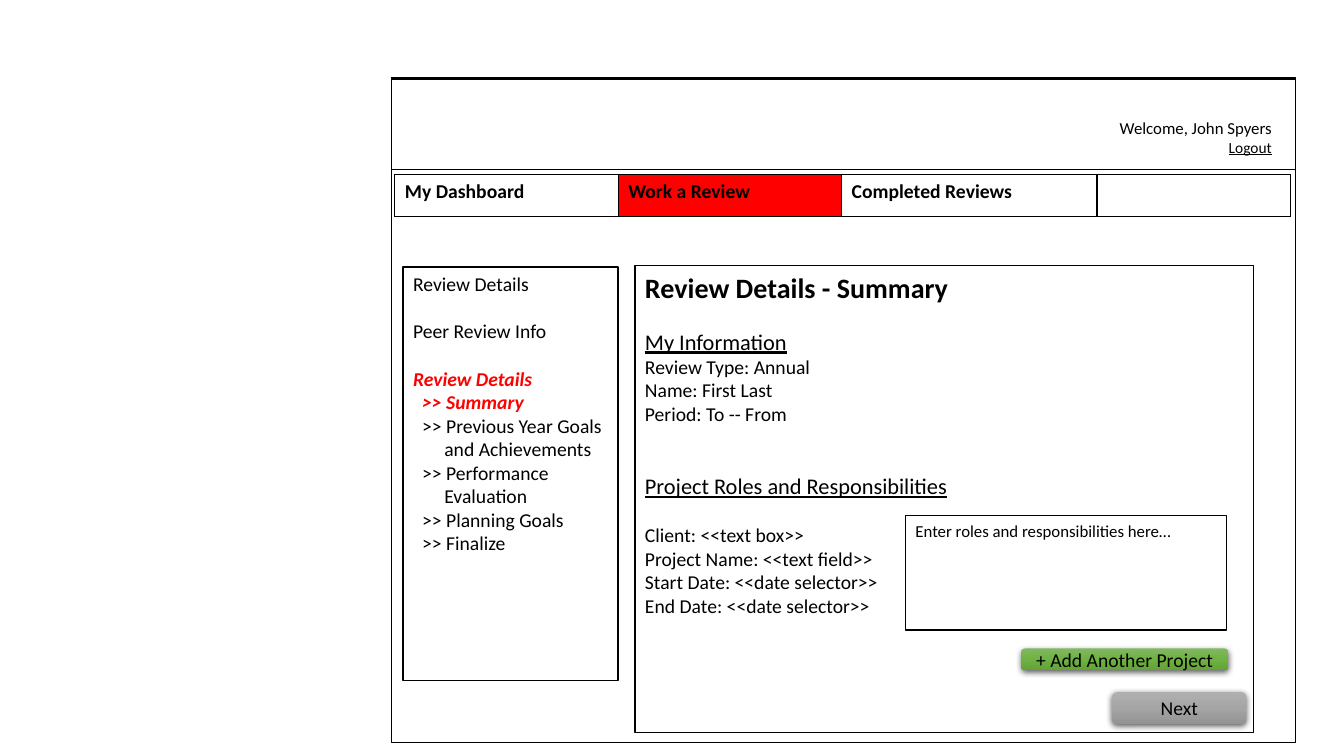
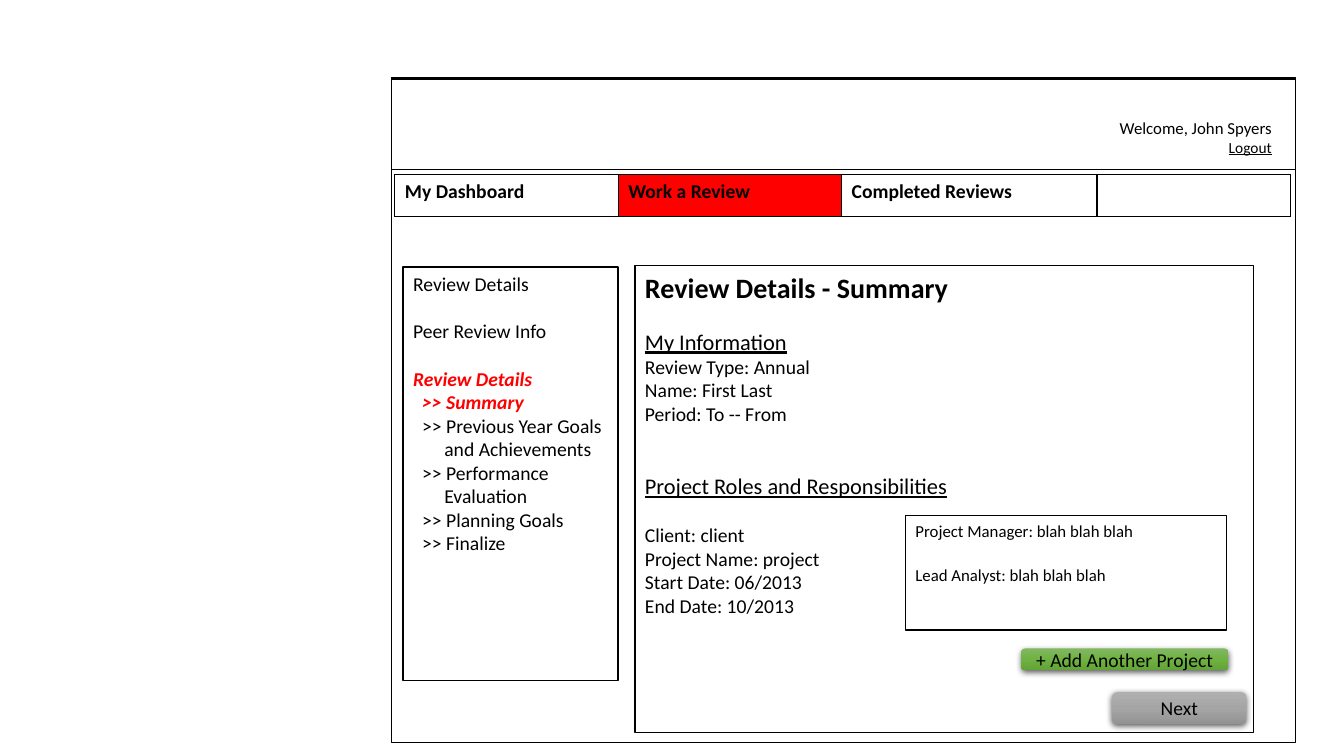
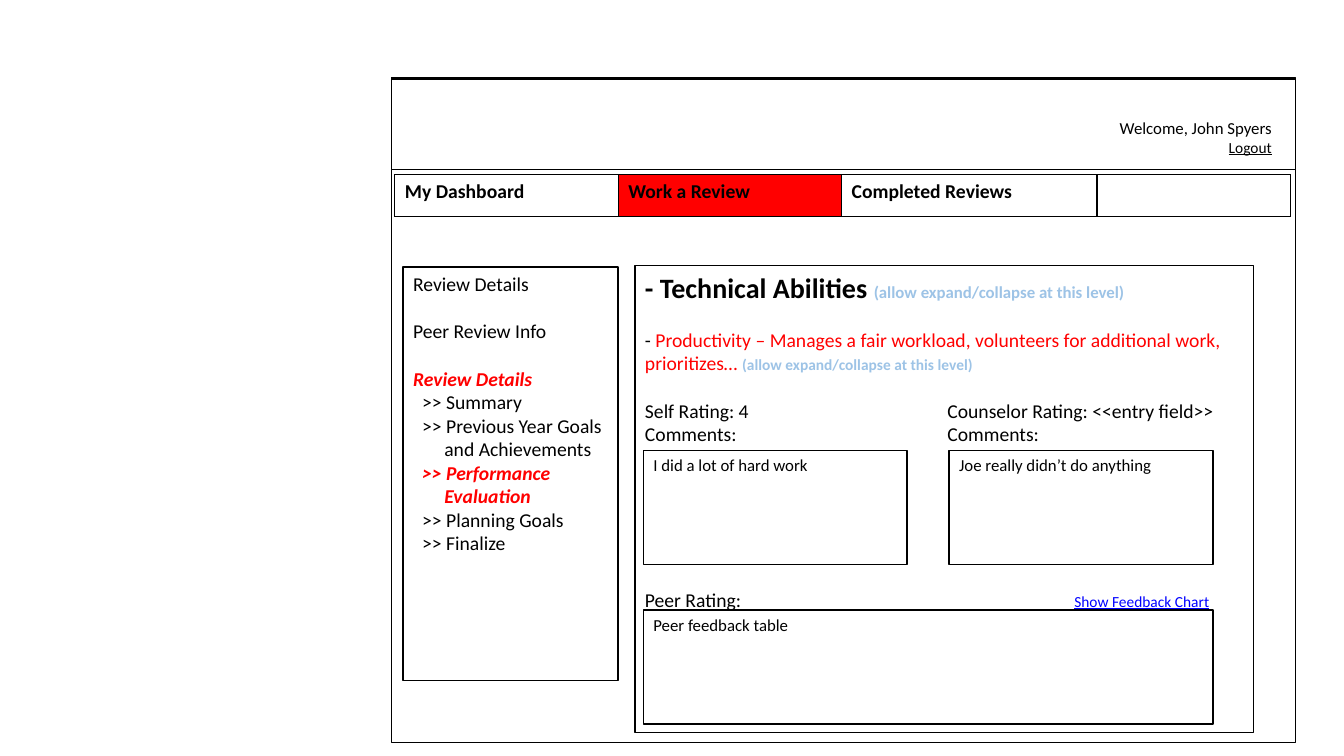
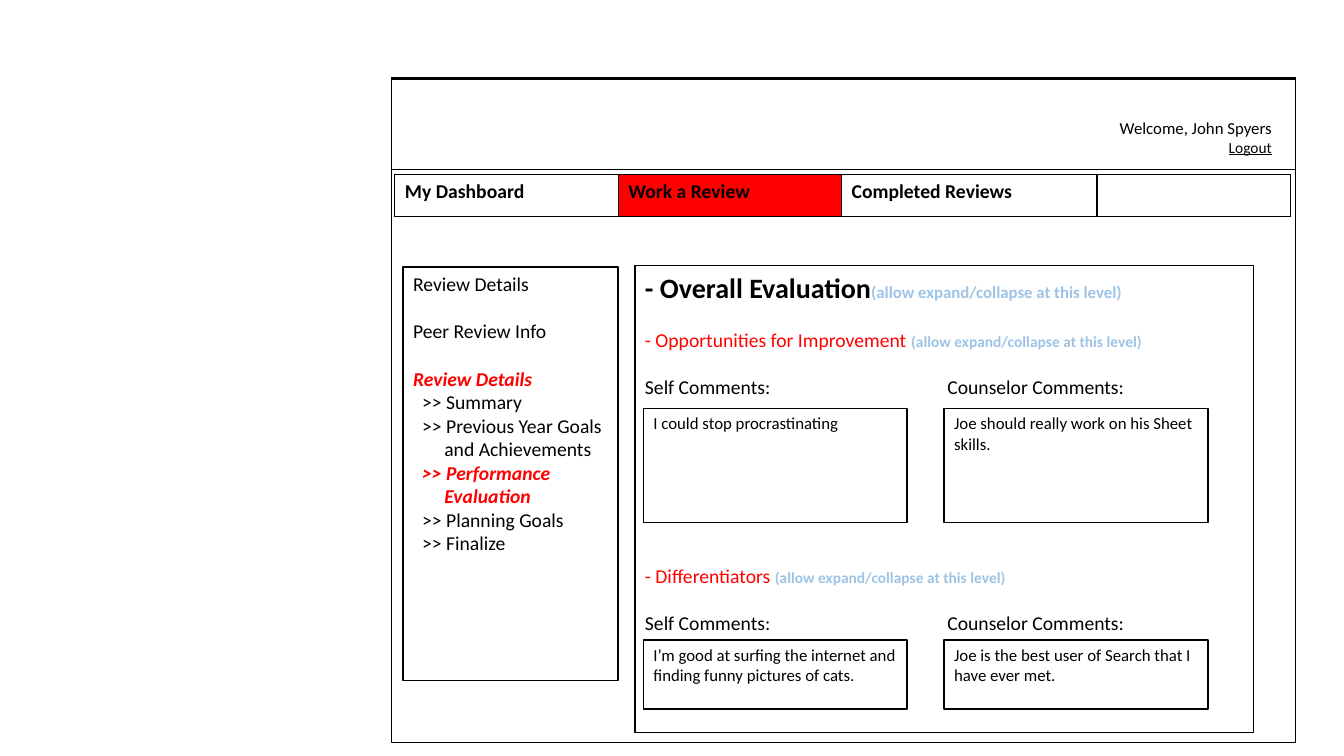
from copy import deepcopy
from dataclasses import dataclass

from lxml import etree
from pptx import Presentation
from pptx.dml.color import RGBColor
from pptx.enum.shapes import MSO_SHAPE
from pptx.enum.text import MSO_ANCHOR, PP_ALIGN
from pptx.oxml.ns import qn
from pptx.util import Inches, Pt

RECTANGLE, ROUNDED = MSO_SHAPE.RECTANGLE, MSO_SHAPE.ROUNDED_RECTANGLE
TOP, MIDDLE = MSO_ANCHOR.TOP, MSO_ANCHOR.MIDDLE
LEFT, CENTER, RIGHT = PP_ALIGN.LEFT, PP_ALIGN.CENTER, PP_ALIGN.RIGHT

BLACK = RGBColor(0x00, 0x00, 0x00)
WHITE = RGBColor(0xFF, 0xFF, 0xFF)
RED = RGBColor(0xFF, 0x00, 0x00)
PALE_BLUE = RGBColor(0x9D, 0xC3, 0xE6)
LINK_BLUE = RGBColor(0x00, 0x00, 0xFF)
GRAYS = [RGBColor(0xAF, 0xAF, 0xAF), RGBColor(0xA5, 0xA5, 0xA5), RGBColor(0x93, 0x93, 0x93)]
GREENS = [RGBColor(0x81, 0xB8, 0x61), RGBColor(0x6F, 0xB2, 0x42), RGBColor(0x62, 0xA3, 0x36)]

FONT = "Calibri"
WIDTH, HEIGHT = Inches(13.33), Inches(7.5)
COLUMN, ROW = WIDTH / 80, HEIGHT / 45  # grid of 80 columns by 45 rows
BLANK_LINE = 16.9  # points, one line of 14 point text

# Places on the grid: left, top, width, height
FRAME = (23.3, 4.6, 53.8, 39.6)
HEADER = (23.3, 4.7, 53.8, 5.4)
USER = (65.8, 6.7, 10.5, 3)
TABS = (23.5, 10.4, 53.3, 2.5)
MENU = (24, 15.9, 12.8, 24.6)
PANEL = (37.8, 15.8, 36.8, 27.8)
ROLES = (53.9, 30.7, 19.1, 6.8)
ADD_BUTTON = (60.8, 38.6, 12.3, 1.3)
NEXT_BUTTON = (66.2, 41.2, 8, 1.9)
SELF_LEFT, COMMENT_WIDTH, COMMENT_HEIGHT = 38.3, 15.7, 6.8
COUNSELOR_TAB, LINK_TAB = 18, 33.6  # columns from the panel's text edge


@dataclass
class Run:
    text: str
    size: int = 14
    color: RGBColor = BLACK
    bold: bool = False
    italic: bool = False
    underline: bool = False


@dataclass
class Line:
    runs: list
    blank: int = 0  # blank lines above
    align: PP_ALIGN = LEFT
    hang: bool = False
    tab: tuple = ()  # column and alignment of the tab stop


def line(text, blank=0, align=LEFT, hang=False, tab=(), **style):
    return Line([Run(text, **style)], blank, align, hang, tab)


class Wireframe:
    """Holds the style and the current slide."""

    def __init__(self):
        self.presentation = Presentation()
        self.presentation.slide_width, self.presentation.slide_height = WIDTH, HEIGHT
        self.slide = None

    def place(self, area):
        left, top, width, height = area
        return int(left * COLUMN), int(top * ROW), int(width * COLUMN), int(height * ROW)

    def style_font(self, font, run):
        font.name, font.size = FONT, Pt(run.size)
        font.bold, font.italic, font.underline = run.bold, run.italic, run.underline
        font.color.rgb = run.color

    def set_text(self, frame, lines, anchor=TOP):
        frame.word_wrap = True
        frame.vertical_anchor = anchor
        for index, item in enumerate(lines):
            paragraph = frame.add_paragraph() if index else frame.paragraphs[0]
            paragraph.alignment = item.align
            paragraph.space_before = Pt(item.blank * BLANK_LINE)
            properties = paragraph._p.get_or_add_pPr()
            if item.hang:
                properties.set("marL", str(Inches(0.31)))
                properties.set("indent", str(Inches(-0.22)))
            if item.tab:
                column, side = item.tab
                stops = etree.SubElement(properties, qn("a:tabLst"))
                etree.SubElement(stops, qn("a:tab"), pos=str(int(column * COLUMN)), algn=side)
            for part in item.runs:
                run = paragraph.add_run()
                run.text = part.text
                if len(item.runs) > 1:
                    self.style_font(run.font, part)
            if len(item.runs) == 1:
                self.style_font(paragraph.font, item.runs[0])

    def box(self, area, lines=(), fill=WHITE):
        shape = self.slide.shapes.add_shape(RECTANGLE, *self.place(area))
        shape.shadow.inherit = False
        if fill is None:
            shape.fill.background()
        else:
            shape.fill.solid()
            shape.fill.fore_color.rgb = fill
        shape.line.color.rgb, shape.line.width = BLACK, Pt(1)
        self.set_text(shape.text_frame, lines)

    def note(self, area, *texts):
        self.box(area, [line(text, blank=min(index, 1), size=12) for index, text in enumerate(texts)])

    def button(self, area, text, colors):
        shape = self.slide.shapes.add_shape(ROUNDED, *self.place(area))
        shape.line.fill.background()
        shape.fill.gradient()
        shape.fill.gradient_angle = 270
        properties = shape._element.spPr
        stops = properties.find(".//" + qn("a:gsLst"))
        stops.append(deepcopy(stops[-1]))
        for index, (stop, color) in enumerate(zip(shape.fill.gradient_stops, colors)):
            stop.color.rgb, stop.position = color, index / 2
        # Soft shadow below the button
        shape.shadow.inherit = False
        shadow = etree.SubElement(properties.find(qn("a:effectLst")), qn("a:outerShdw"),
                                  blurRad=str(Pt(4.5)), dist=str(Pt(1.5)), dir="5400000")
        black = etree.SubElement(shadow, qn("a:srgbClr"), val=str(BLACK))
        etree.SubElement(black, qn("a:alpha"), val="63000")
        self.set_text(shape.text_frame, [line(text, align=CENTER)], MIDDLE)

    def user(self):
        text_box = self.slide.shapes.add_textbox(*self.place(USER))
        text_box.text_frame.margin_left = 0
        self.set_text(text_box.text_frame, [
            line("Welcome, John Spyers", align=RIGHT, size=12),
            line("Logout", align=RIGHT, size=11, underline=True)])

    def tabs(self):
        table = self.slide.shapes.add_table(1, 4, *self.place(TABS)).table
        table.first_row = table.horz_banding = False
        labels = ["My Dashboard", "Work a Review", "Completed Reviews", ""]
        for index, (label, columns) in enumerate(zip(labels, [13.3, 13.3, 15.2, 11.5])):
            table.columns[index].width = int(columns * COLUMN)
            cell = table.cell(0, index)
            cell.fill.solid()
            cell.fill.fore_color.rgb = RED if label == "Work a Review" else WHITE
            self.set_text(cell.text_frame, [line(label, bold=True)] if label else [])
            properties = cell._tc.get_or_add_tcPr()
            for position, side in enumerate(["a:lnL", "a:lnR", "a:lnT", "a:lnB"]):
                border = etree.Element(qn(side), w=str(Pt(1)))
                solid = etree.SubElement(border, qn("a:solidFill"))
                etree.SubElement(solid, qn("a:srgbClr"), val=str(BLACK))
                properties.insert(position, border)

    def menu(self, current):
        active = {"color": RED, "bold": True, "italic": True}
        steps = ["Summary", "Previous Year Goals and Achievements",
                 "Performance Evaluation", "Planning Goals", "Finalize"]
        self.box(MENU, [
            line("Review Details"),
            line("Peer Review Info", blank=1),
            line("Review Details", blank=1, **active),
            *(line(f">> {step}", hang=True, **(active if step == current else {})) for step in steps)])

    def page(self, current, lines):
        """Start a slide with the parts that every screen shares."""
        self.slide = self.presentation.slides.add_slide(self.presentation.slide_layouts[6])
        self.box(FRAME)
        self.box(HEADER)
        self.box(PANEL, lines, fill=None)
        self.user()
        self.tabs()
        self.menu(current)

    def summary(self, values, roles):
        fields = ["Client", "Project Name", "Start Date", "End Date"]
        self.page("Summary", [
            line("Review Details - Summary", size=20, bold=True),
            line("My Information", blank=1, size=16, underline=True),
            line("Review Type: Annual"),
            line("Name: First Last"),
            line("Period: To -- From"),
            line("Project Roles and Responsibilities", blank=2, size=16, underline=True),
            *(line(f"{field}: {value}", blank=int(field == "Client"))
              for field, value in zip(fields, values))])
        self.note(ROLES, *roles)
        self.button(ADD_BUTTON, "+ Add Another Project", GREENS)
        self.button(NEXT_BUTTON, "Next", GRAYS)

    def comments(self, top, height, counselor_left, own, counselor):
        for left, text in [(SELF_LEFT, own), (counselor_left, counselor)]:
            self.note((left, top, COMMENT_WIDTH, height), text)


def collapsible(*runs, blank=0, size=11):
    hint = Run("(allow expand/collapse at this level)", size, PALE_BLUE, bold=True)
    return Line([*runs, hint], blank)


def pair(own, counselor, blank=0):
    return line(f"{own}\t{counselor}", blank=blank, tab=(COUNSELOR_TAB, "l"))


def main():
    wireframe = Wireframe()

    # Summary: empty form, then filled in
    wireframe.summary(
        ["<<text box>>", "<<text field>>", "<<date selector>>", "<<date selector>>"],
        ["Enter roles and responsibilities here…"])
    wireframe.summary(
        ["client", "project", "06/2013", "10/2013"],
        ["Project Manager: blah blah blah", "Lead Analyst: blah blah blah"])

    # Technical abilities
    wireframe.page("Performance Evaluation", [
        collapsible(Run("- Technical Abilities ", 20, bold=True), size=12),
        collapsible(Run("- "), Run("Productivity – Manages a fair workload, volunteers for "
                                   "additional work, prioritizes… ", color=RED), blank=1),
        pair("Self Rating: 4", "Counselor Rating: <<entry field>>", blank=1),
        pair("Comments:", "Comments:"),
        Line([Run("Peer Rating:\t"), Run("Show Feedback Chart", 11, LINK_BLUE, underline=True)],
             blank=6, tab=(LINK_TAB, "r"))])
    wireframe.comments(26.8, COMMENT_HEIGHT, 56.5,
                       "I did a lot of hard work", "Joe really didn’t do anything")
    wireframe.note((SELF_LEFT, 36.3, 33.9, COMMENT_HEIGHT), "Peer feedback table")

    # Overall evaluation
    labels = ("Self Comments:", "Counselor Comments:")
    wireframe.page("Performance Evaluation", [
        collapsible(Run("- Overall Evaluation", 20, bold=True), size=12),
        collapsible(Run("- Opportunities for Improvement ", color=RED), blank=1),
        pair(*labels, blank=1),
        collapsible(Run("- Differentiators ", color=RED), blank=7),
        pair(*labels, blank=1)])
    wireframe.comments(24.3, COMMENT_HEIGHT, 56.2, "I could stop procrastinating",
                       "Joe should really work on his Sheet skills.")
    wireframe.comments(38.1, 4.1, 56.2,
                       "I’m good at surfing the internet and finding funny pictures of cats.",
                       "Joe is the best user of Search that I have ever met.")

    wireframe.presentation.save("out.pptx")


if __name__ == "__main__":
    main()
